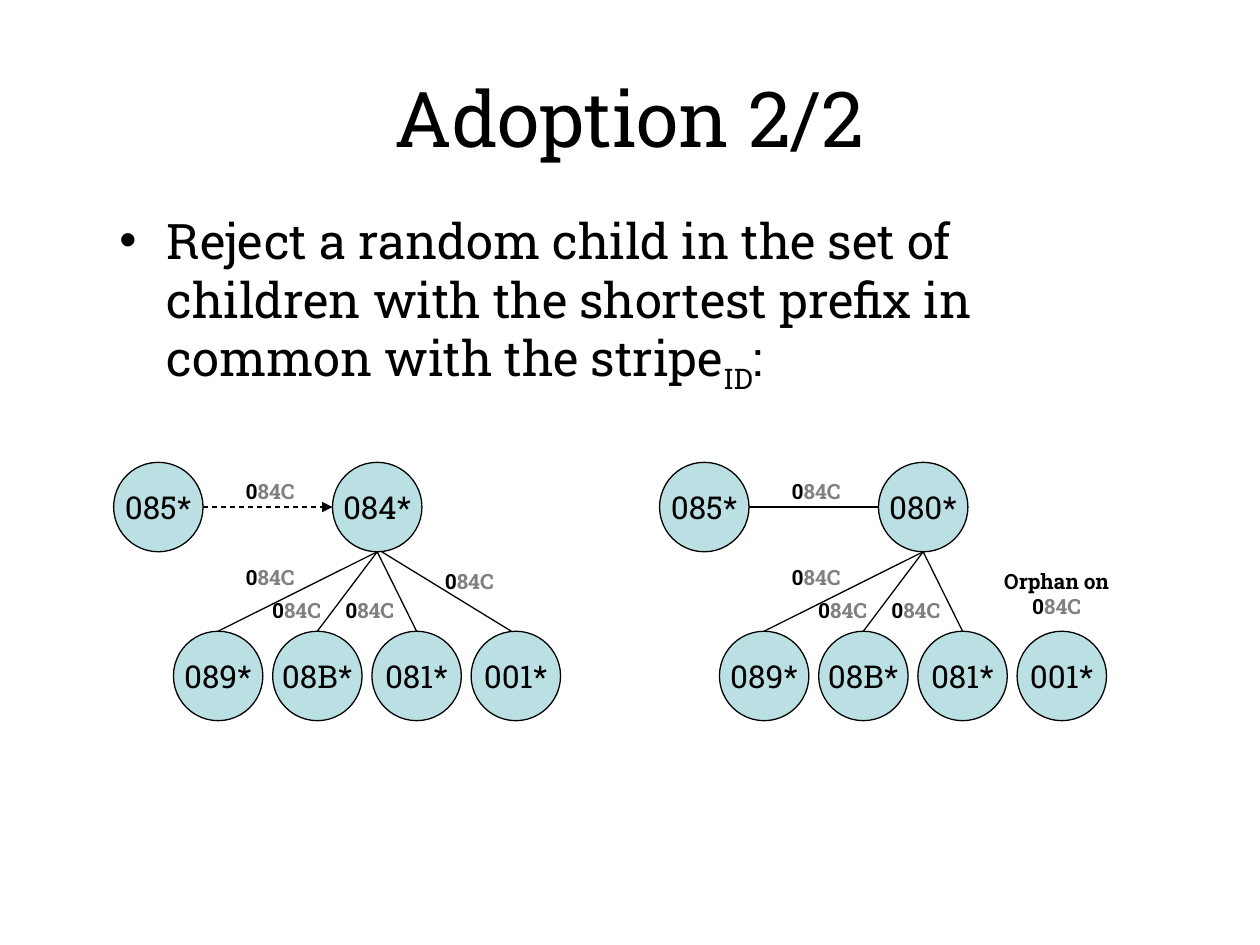
"""Builds the "Adoption 2/2" slide with two node trees, before and after an adoption."""
from dataclasses import dataclass

from lxml import etree
from pptx import Presentation
from pptx.dml.color import RGBColor
from pptx.enum.dml import MSO_LINE
from pptx.enum.shapes import MSO_CONNECTOR, MSO_SHAPE
from pptx.enum.text import MSO_ANCHOR, MSO_AUTO_SIZE, PP_ALIGN
from pptx.oxml.ns import qn
from pptx.util import Pt

STRAIGHT = MSO_CONNECTOR.STRAIGHT
ELLIPSE = MSO_SHAPE.OVAL
DASH = MSO_LINE.DASH
MIDDLE = MSO_ANCHOR.MIDDLE
GROW = MSO_AUTO_SIZE.SHAPE_TO_FIT_TEXT
LEFT, CENTER = PP_ALIGN.LEFT, PP_ALIGN.CENTER


@dataclass(frozen=True)
class Theme:
    font: str = "Roboto Slab"
    ink: RGBColor = RGBColor(0x00, 0x00, 0x00)
    muted: RGBColor = RGBColor(0x80, 0x80, 0x80)
    node: RGBColor = RGBColor(0xBB, 0xE0, 0xE3)
    title_size: int = 44
    body_size: int = 28
    node_size: int = 18
    label_size: int = 12
    line_width: float = 0.75


THEME = Theme()


def write(paragraph, pieces, size, alignment=LEFT, bold=False):
    paragraph.alignment = alignment
    for text, color in pieces:
        run = paragraph.add_run()
        run.text = text
        run.font.name = THEME.font
        run.font.size = Pt(size)
        run.font.bold = bold
        run.font.color.rgb = color


def connect(shapes, start_x, start_y, end_x, end_y):
    connector = shapes.add_connector(STRAIGHT, Pt(start_x), Pt(start_y), Pt(end_x), Pt(end_y))
    connector.line.color.rgb = THEME.ink
    connector.line.width = Pt(THEME.line_width)
    etree.SubElement(connector._element.spPr, qn("a:effectLst"))
    return connector


presentation = Presentation()
presentation.slide_width, presentation.slide_height = Pt(720), Pt(540)
slide = presentation.slides.add_slide(presentation.slide_layouts[6])
shapes = slide.shapes

title = shapes.add_textbox(Pt(36), Pt(21.6), Pt(648), Pt(90)).text_frame
title.word_wrap = True
title.vertical_anchor = MIDDLE
write(title.paragraphs[0], [("Adoption 2/2", THEME.ink)], THEME.title_size, CENTER)

body = shapes.add_textbox(Pt(61.2), Pt(116.6), Pt(592.6), Pt(356.4)).text_frame
body.word_wrap = True
rule = body.paragraphs[0]
properties = rule._p.get_or_add_pPr()
properties.set("marL", str(Pt(27)))
properties.set("indent", str(Pt(-27)))
etree.SubElement(properties, qn("a:buFont"), typeface="Arial")
etree.SubElement(properties, qn("a:buChar"), char="•")
sentence = "Reject a random child in the set of children with the shortest prefix in common with the stripe"
write(rule, [(text, THEME.ink) for text in (sentence, "ID", ":")], THEME.body_size)
rule.runs[1]._r.get_or_add_rPr().set("baseline", "-25000")

DIAMETER = 51.1
RADIUS = DIAMETER / 2
PARENT_TOP, CHILD_TOP = 264.2, 360.7
PARENT_BOTTOM = PARENT_TOP + DIAMETER
PARENT_OFFSET, CHILD_OFFSET, CHILD_STEP = 125.1, 34.2, 56.7
CHILDREN = ["089*", "08B*", "081*", "001*"]
STRIPE = [("0", THEME.ink), ("84C", THEME.muted)]
LABEL_SPOTS = [(68.4, 270), (68.4, 319), (83.5, 337.7), (125.3, 337.7)]
ORPHAN = [[("Orphan on", THEME.ink)], STRIPE]

TREES = [
    (64.9, "084*", 4, True, (182.2, 46.8, 21.6, LEFT, [STRIPE])),
    (376.9, "080*", 3, False, (186.9, 79.9, 36, CENTER, ORPHAN)),
]

for left, parent, linked, requesting, last_label in TREES:
    parent_left = left + PARENT_OFFSET
    parent_center = parent_left + RADIUS
    child_lefts = [left + CHILD_OFFSET + index * CHILD_STEP for index in range(len(CHILDREN))]

    for index, child_left in enumerate(child_lefts[:linked]):
        nudge = 2.6 if index == 3 else 0
        connect(shapes, child_left + RADIUS - nudge, CHILD_TOP, parent_center + nudge, PARENT_BOTTOM)

    middle = PARENT_TOP + RADIUS
    request = connect(shapes, left + DIAMETER, middle, parent_left, middle)
    if requesting:
        request.line.dash_style = DASH
        etree.SubElement(request.line._get_or_add_ln(), qn("a:tailEnd"), type="triangle")

    nodes = [("085*", left, PARENT_TOP), (parent, parent_left, PARENT_TOP)]
    nodes += [(name, child_left, CHILD_TOP) for name, child_left in zip(CHILDREN, child_lefts)]
    for name, node_left, node_top in nodes:
        node = shapes.add_shape(ELLIPSE, Pt(node_left), Pt(node_top), Pt(DIAMETER), Pt(DIAMETER))
        node.shadow.inherit = False
        node.fill.solid()
        node.fill.fore_color.rgb = THEME.node
        node.line.color.rgb = THEME.ink
        node.line.width = Pt(THEME.line_width)
        node.text_frame.word_wrap = False
        node.text_frame.vertical_anchor = MIDDLE
        write(node.text_frame.paragraphs[0], [(name, THEME.ink)], THEME.node_size, CENTER)

    labels = [(x, y, 46.8, 21.6, LEFT, [STRIPE]) for x, y in LABEL_SPOTS]
    last_x, *last_rest = last_label
    labels.append((last_x, 321.1, *last_rest))
    for x, y, width, height, alignment, lines in labels:
        label = shapes.add_textbox(Pt(left + x), Pt(y), Pt(width), Pt(height)).text_frame
        label.word_wrap = False
        label.auto_size = GROW
        for index, pieces in enumerate(lines):
            paragraph = label.add_paragraph() if index else label.paragraphs[0]
            write(paragraph, pieces, THEME.label_size, alignment, bold=True)

presentation.save("out.pptx")
